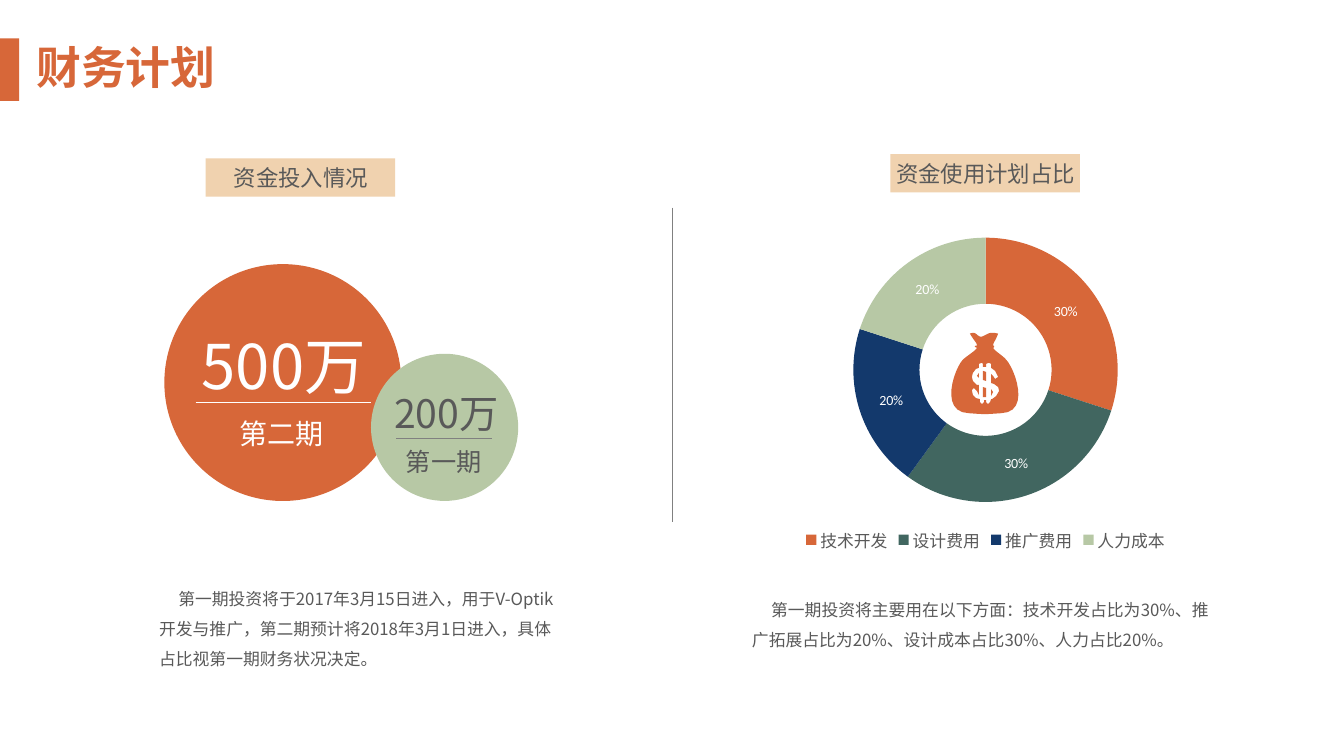
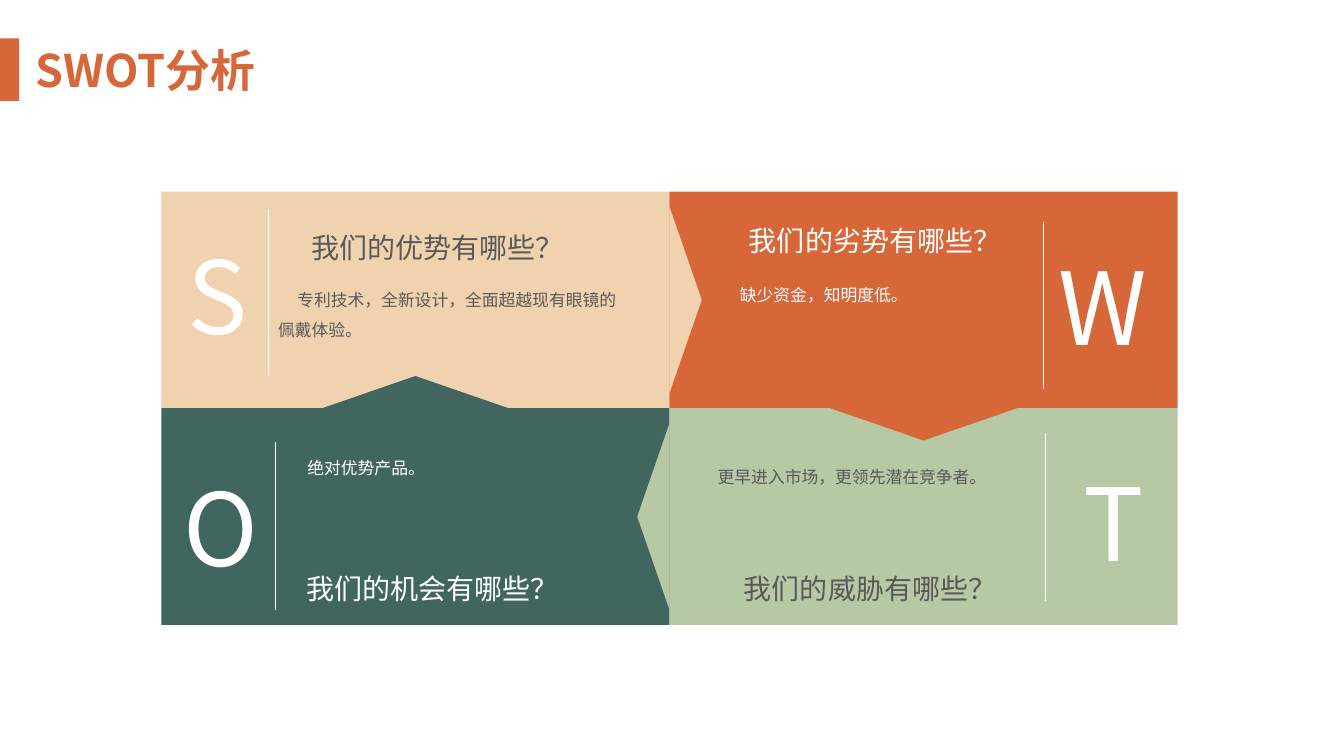
import math
from dataclasses import dataclass

from lxml import etree
from pptx import Presentation
from pptx.chart.data import CategoryChartData
from pptx.dml.color import RGBColor
from pptx.enum.chart import XL_CHART_TYPE, XL_LEGEND_POSITION
from pptx.enum.shapes import MSO_CONNECTOR, MSO_SHAPE
from pptx.enum.text import MSO_ANCHOR, MSO_AUTO_SIZE, PP_ALIGN
from pptx.oxml.ns import qn
from pptx.util import Inches, Pt

RECT, OVAL, TRIANGLE = MSO_SHAPE.RECTANGLE, MSO_SHAPE.OVAL, MSO_SHAPE.ISOSCELES_TRIANGLE
LEFT, CENTER = PP_ALIGN.LEFT, PP_ALIGN.CENTER
TITLE_ONLY = 5

Point = tuple[float, float]
Box = tuple[float, float, float, float]


@dataclass(frozen=True)
class Theme:
    orange: str = "D76739"
    sand: str = "F0D2AF"
    sage: str = "B7C8A5"
    teal: str = "416660"
    navy: str = "13396C"
    grey: str = "808080"
    ink: str = "595959"
    white: str = "FFFFFF"
    font: str = "Noto Sans CJK SC"
    chart_font: str = "Calibri"
    letter: int = 72
    title: int = 32
    heading: int = 20
    tag: int = 16
    body: int = 12
    label: int = 10


T = Theme()


@dataclass(frozen=True)
class Stage:
    """A funding circle with an amount above a rule and a name below it."""
    circle: Box
    fill: str
    ink: str
    amount: str
    amount_at: Box
    amount_size: int
    name: str
    name_at: Box
    name_size: int
    rule_from: Point
    rule_width: float
    rule_color: str


@dataclass(frozen=True)
class Panel:
    """One half of the finance slide: a tag and a paragraph."""
    tag: str
    tag_at: Point
    text: str
    text_at: Box


@dataclass(frozen=True)
class Quadrant:
    letter: str
    cell: tuple[int, int]
    arrow: tuple[int, int]
    fill: str
    ink: str
    letter_at: Point
    rule_at: Point
    question: str
    question_at: Point
    answer: str
    answer_at: Box
    indent: float


STAGES = [
    Stage((1.63, 2.62, 2.35, 2.35), T.orange, T.white, "500万", (1.74, 3.2, 2.15, 0.84), 44,
          "第二期", (2.04, 4.08, 1.5, 0.44), 20, (1.94, 3.99), 1.74, T.white),
    Stage((3.68, 3.51, 1.46, 1.46), T.sage, T.ink, "200万", (3.35, 3.81, 2.15, 0.57), 28,
          "第一期", (3.65, 4.38, 1.5, 0.4), 18, (3.93, 4.35), 0.95, T.grey),
]

PANELS = [
    Panel("资金投入情况", (2.04, 1.57),
          "第一期投资将于2017年3月15日进入，用于V-Optik开发与推广，第二期预计将2018年3月1日进入，"
          "具体占比视第一期财务状况决定。", (1.48, 5.69, 4.11, 1.01)),
    Panel("资金使用计划占比", (8.83, 1.53),
          "第一期投资将主要用在以下方面：技术开发占比为30%、推广拓展占比为20%、设计成本占比30%、"
          "人力占比20%。", (7.36, 5.8, 4.81, 0.71)),
]

SPENDING = [("技术开发", 0.3, T.orange), ("设计费用", 0.3, T.teal),
            ("推广费用", 0.2, T.navy), ("人力成本", 0.2, T.sage)]

QUADRANTS = [
    Quadrant("S", (0, 0), (1, 0), T.sand, T.ink, (1.48, 2.27), (2.66, 2.07),
             "我们的优势有哪些？", (2.99, 2.07),
             "专利技术，全新设计，全面超越现有眼镜的佩戴体验。", (2.66, 2.72, 3.6, 0.71), 0.19),
    Quadrant("W", (1, 0), (0, 1), T.orange, T.white, (10.26, 2.38), (10.35, 2.2),
             "我们的劣势有哪些？", (7.33, 2),
             "缺少资金，知明度低。", (6.98, 2.68, 3.51, 0.4), 0.26),
    Quadrant("T", (1, 1), (-1, 0), T.sage, T.ink, (10.37, 4.52), (10.37, 4.3),
             "我们的威胁有哪些？", (7.28, 5.45),
             "更早进入市场，更领先潜在竞争者。", (6.8, 4.48, 3.33, 0.4), 0.22),
    Quadrant("O", (0, 1), (0, -1), T.teal, T.white, (1.52, 4.57), (2.73, 4.39),
             "我们的机会有哪些？", (2.94, 5.45),
             "绝对优势产品。", (2.73, 4.39, 3.61, 0.4), 0.22),
]

# Bag outline: a start point, then cubic curves (two controls and an end).
BAG_START = (9.98, 3.57)
BAG_CURVES = [
    ((9.95, 3.53), (9.86, 3.48), (9.85, 3.45)),
    ((9.86, 3.45), (9.86, 3.44), (9.86, 3.44)),
    ((9.86, 3.43), (9.86, 3.43), (9.85, 3.43)),
    ((9.85, 3.4), (9.87, 3.39), (9.9, 3.31)),
    ((9.81, 3.29), (9.81, 3.31), (9.74, 3.34)),
    ((9.69, 3.35), (9.69, 3.28), (9.62, 3.31)),
    ((9.66, 3.38), (9.69, 3.4), (9.69, 3.43)),
    ((9.68, 3.43), (9.67, 3.43), (9.67, 3.44)),
    ((9.67, 3.44), (9.68, 3.45), (9.69, 3.45)),
    ((9.68, 3.48), (9.59, 3.53), (9.55, 3.57)),
    ((9.47, 3.65), (9.31, 4.09), (9.61, 4.1)),
    ((9.75, 4.11), (9.77, 4.11), (9.77, 4.11)),
    ((9.77, 4.11), (9.78, 4.11), (9.93, 4.1)),
    ((10.23, 4.09), (10.06, 3.65), (9.98, 3.57)),
]
DOLLAR = [
    [(9.91, 3.88), (9.88, 3.93), (9.84, 3.96), (9.83, 3.96), (9.82, 3.99), (9.8, 4.01),
     (9.78, 3.99), (9.78, 3.97), (9.76, 3.97), (9.76, 3.99), (9.74, 4.01), (9.72, 3.99),
     (9.72, 3.96), (9.68, 3.95), (9.65, 3.92), (9.64, 3.87), (9.66, 3.85), (9.69, 3.88),
     (9.71, 3.92), (9.71, 3.82), (9.69, 3.82), (9.65, 3.78), (9.64, 3.74), (9.65, 3.7),
     (9.68, 3.66), (9.71, 3.65), (9.71, 3.61), (9.74, 3.6), (9.75, 3.61), (9.75, 3.64),
     (9.78, 3.64), (9.78, 3.61), (9.81, 3.6), (9.83, 3.61), (9.83, 3.65), (9.87, 3.68),
     (9.9, 3.74), (9.87, 3.76), (9.85, 3.73), (9.83, 3.71), (9.83, 3.8), (9.86, 3.81),
     (9.9, 3.84)],
    [(9.75, 3.84), (9.75, 3.94), (9.78, 3.94), (9.78, 3.85)],
    [(9.69, 3.73), (9.71, 3.75), (9.71, 3.7)],
    [(9.75, 3.68), (9.75, 3.77), (9.78, 3.78), (9.78, 3.69)],
    [(9.83, 3.86), (9.83, 3.93), (9.85, 3.89)],
]


def rgb(color: str) -> RGBColor:
    return RGBColor.from_string(color)


def place(box: Box) -> list[int]:
    return [Inches(v) for v in box]


def paint(sp, color: str):
    sp.shadow.inherit = False
    sp.fill.solid()
    sp.fill.fore_color.rgb = rgb(color)
    sp.line.fill.background()
    return sp


def add_block(slide, kind, box: Box, color: str):
    return paint(slide.shapes.add_shape(kind, *place(box)), color)


def write(sp, text: str, *, size: int, color: str, bold: bool = False,
          align=LEFT, spacing: float = 1.0, indent: float = 0) -> None:
    tf = sp.text_frame
    tf.word_wrap = True
    tf.auto_size = MSO_AUTO_SIZE.NONE
    tf.vertical_anchor = MSO_ANCHOR.TOP
    p = tf.paragraphs[0]
    p.alignment, p.line_spacing = align, spacing
    if indent:
        p._p.get_or_add_pPr().set("indent", str(Inches(indent)))
    r = p.add_run()
    r.text = text
    r.font.size, r.font.bold, r.font.name = Pt(size), bold, T.font
    r.font.color.rgb = rgb(color)
    etree.SubElement(r._r.get_or_add_rPr(), qn("a:ea"), typeface=T.font)


def add_text(slide, text: str, box: Box, **fmt) -> None:
    write(slide.shapes.add_textbox(*place(box)), text, **fmt)


def add_rule(slide, start: Point, color: str, width: float = 0, height: float = 0) -> None:
    x, y = start
    line = slide.shapes.add_connector(MSO_CONNECTOR.STRAIGHT,
                                      *place((x, y, x + width, y + height)))
    line.line.color.rgb = rgb(color)
    line.line.width = Pt(0.75)
    etree.SubElement(line._element.spPr, qn("a:effectLst"))


def add_slide(prs, title: str, title_box: Box):
    """Add a slide with the accent bar and the formatted title."""
    slide = prs.slides.add_slide(prs.slide_layouts[TITLE_ONLY])
    add_block(slide, RECT, (0, 0.38, 0.19, 0.62), T.orange)
    sp = slide.shapes.title
    sp.left, sp.top, sp.width, sp.height = place(title_box)
    write(sp, title, size=T.title, color=T.orange, bold=True, align=CENTER)
    return slide


def curve_points(start: Point, curves, steps: int = 12) -> list[Point]:
    """Flatten joined cubic curves to points."""
    points = [start]
    for a, b, end in curves:
        origin = points[-1]
        for i in range(1, steps + 1):
            t = i / steps
            u = 1 - t
            points.append(tuple(u**3 * o + 3 * u * u * t * c + 3 * u * t * t * d + t**3 * e
                                for o, c, d, e in zip(origin, a, b, end)))
    return points


def add_money_bag(slide) -> None:
    contours = [[(Inches(x), Inches(y)) for x, y in contour]
                for contour in [curve_points(BAG_START, BAG_CURVES), *DOLLAR]]
    builder = slide.shapes.build_freeform(*contours[0][0])
    for contour in contours:
        builder.move_to(*contour[0])
        builder.add_line_segments(contour[1:], close=True)
    paint(builder.convert_to_shape(), T.orange)


def set_chart_font(font, name: str, size: int, color: str) -> None:
    font.name, font.size = name, Pt(size)
    font.color.rgb = rgb(color)


def add_spending_chart(slide) -> None:
    data = CategoryChartData(number_format="0%")
    data.categories = [name for name, _, _ in SPENDING]
    data.add_series("Series 1", [share for _, share, _ in SPENDING])
    chart = slide.shapes.add_chart(XL_CHART_TYPE.DOUGHNUT, *place((7.3, 2.22, 4.95, 3.3)),
                                   data).chart
    chart.has_title = False
    chart.has_legend = True
    chart.legend.position = XL_LEGEND_POSITION.BOTTOM
    chart.legend.include_in_layout = False
    set_chart_font(chart.legend.font, T.font, T.body, T.ink)
    plot = chart.plots[0]
    plot.vary_by_categories = True
    plot.has_data_labels = True
    labels = plot.data_labels
    labels.show_value, labels.show_percentage = True, False
    labels.number_format, labels.number_format_is_linked = "0%", False
    set_chart_font(labels.font, T.chart_font, T.label, T.white)
    for i, (_, _, color) in enumerate(SPENDING):
        fill = plot.series[0].points[i].format.fill
        fill.solid()
        fill.fore_color.rgb = rgb(color)
    chart._chartSpace.xpath(".//c:holeSize")[0].set("val", "67")


def build_finance(prs) -> None:
    slide = add_slide(prs, "财务计划", (0.02, 0.34, 2.46, 0.64))
    add_rule(slide, (6.67, 2.06), T.grey, height=3.12)
    for s in STAGES:
        add_block(slide, OVAL, s.circle, s.fill)
        add_text(slide, s.amount, s.amount_at, size=s.amount_size, color=s.ink, align=CENTER)
        add_text(slide, s.name, s.name_at, size=s.name_size, color=s.ink, align=CENTER)
        add_rule(slide, s.rule_from, s.rule_color, width=s.rule_width)
    for panel in PANELS:
        x, y = panel.tag_at
        add_block(slide, RECT, (x, y, 1.88, 0.38), T.sand)
        add_text(slide, panel.tag, (x - 0.41, y + 0.01, 2.71, 0.37),
                 size=T.tag, color=T.ink, align=CENTER)
        add_text(slide, panel.text, panel.text_at, size=T.body, color=T.ink,
                 spacing=1.5, indent=0.19)
    add_spending_chart(slide)
    add_money_bag(slide)


def build_swot(prs) -> None:
    slide = add_slide(prs, "SWOT分析", (0.02, 0.37, 2.84, 0.64))
    left, top, cell_w, cell_h = 1.6, 1.9, 5.04, 2.15
    base, depth = 1.85, 0.32
    corners = [(left + q.cell[0] * cell_w, top + q.cell[1] * cell_h) for q in QUADRANTS]
    for q, (x, y) in zip(QUADRANTS, corners):
        add_block(slide, RECT, (x, y, cell_w, cell_h), q.fill)
    for q, (x, y) in zip(QUADRANTS, corners):
        dx, dy = q.arrow
        mid_x = x + cell_w / 2 + dx * (cell_w + depth) / 2
        mid_y = y + cell_h / 2 + dy * (cell_h + depth) / 2
        arrow = add_block(slide, TRIANGLE, (mid_x - base / 2, mid_y - depth / 2, base, depth),
                          q.fill)
        arrow.rotation = math.degrees(math.atan2(dx, -dy)) % 360
    for q in QUADRANTS:
        add_text(slide, q.letter, (*q.letter_at, 1.35, 1.31), size=T.letter,
                 color=T.white, align=CENTER)
        add_text(slide, q.question, (*q.question_at, 2.73, 0.61), size=T.heading,
                 color=q.ink, spacing=1.5)
        add_text(slide, q.answer, q.answer_at, size=T.body, color=q.ink,
                 spacing=1.5, indent=q.indent)
        add_rule(slide, q.rule_at, T.white, height=1.66)


def main() -> None:
    prs = Presentation()
    prs.slide_width, prs.slide_height = Inches(13.33), Inches(7.5)
    build_finance(prs)
    build_swot(prs)
    prs.save("out.pptx")


if __name__ == "__main__":
    main()
